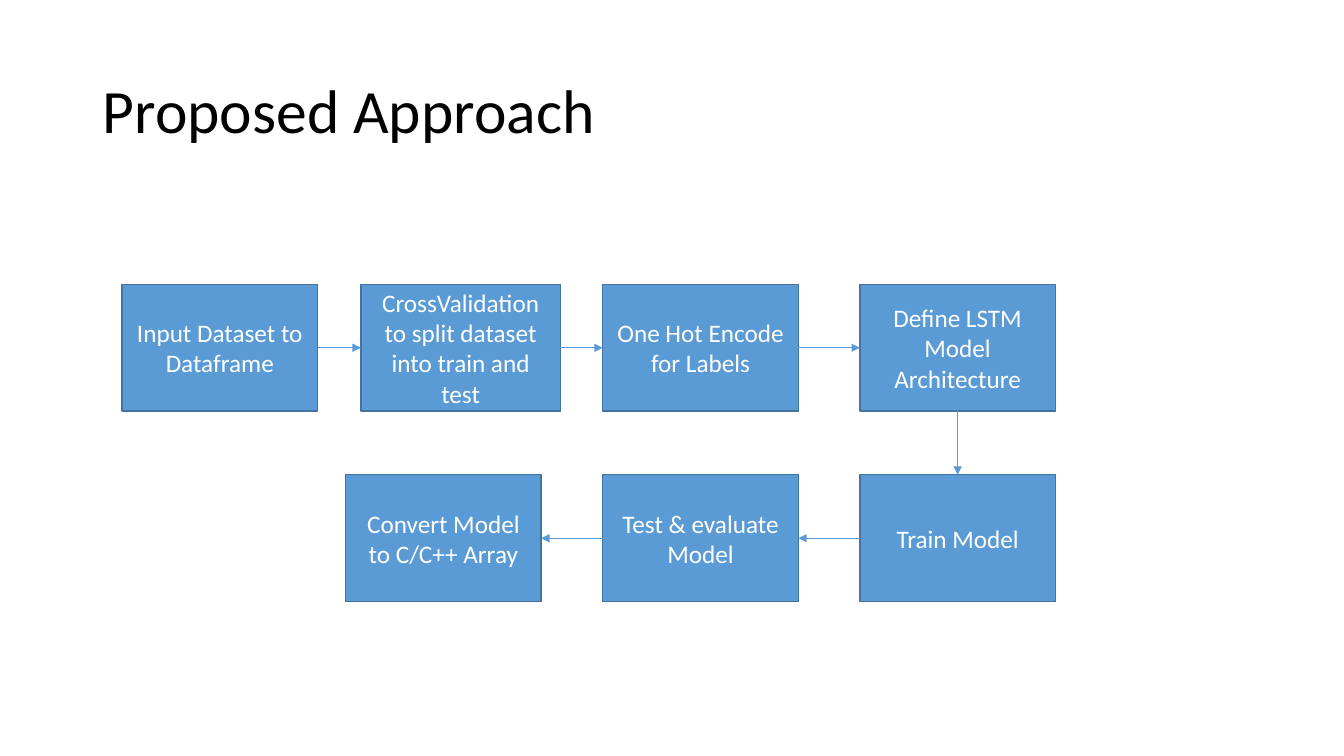
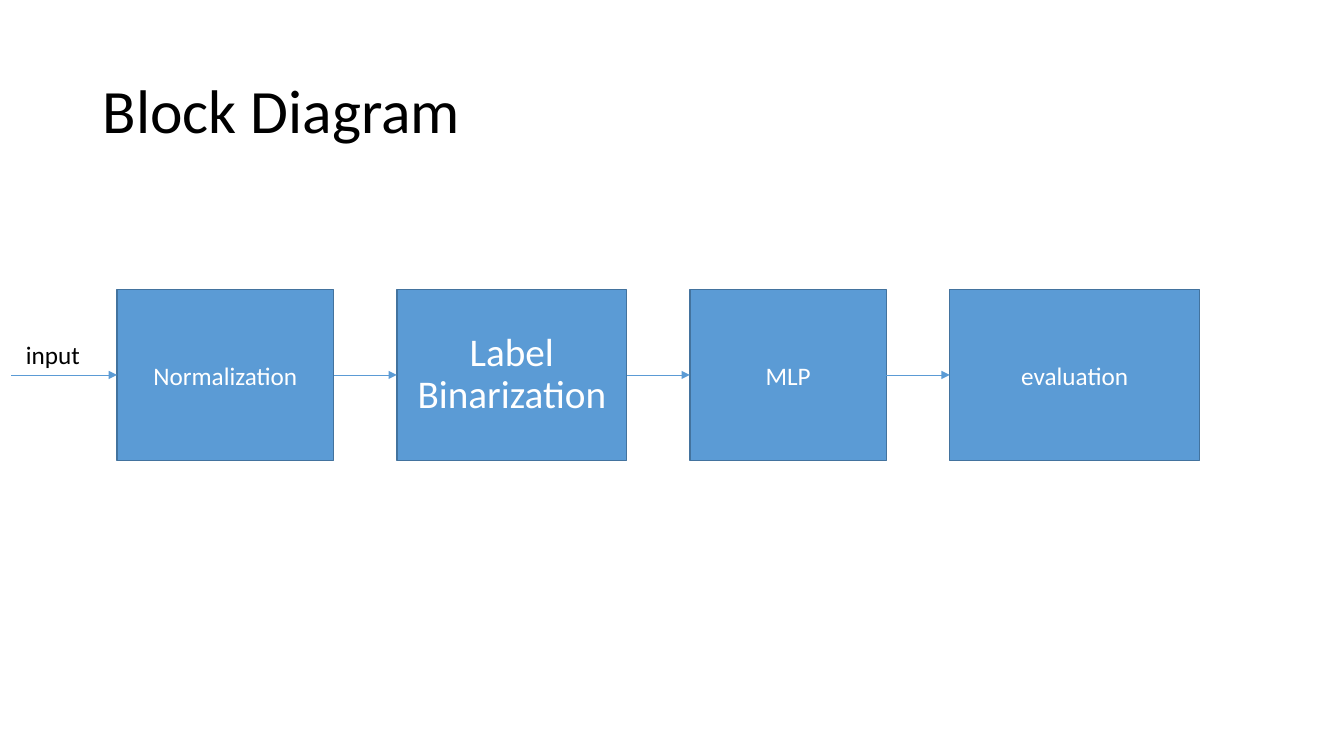
from dataclasses import dataclass
from itertools import pairwise

from pptx import Presentation
from pptx import util as u
from pptx.dml.color import RGBColor
from pptx.enum import shapes, text
from pptx.oxml.ns import qn
from lxml import etree


@dataclass(frozen=True)
class Theme:
    font: str = "Calibri"
    ink: str = "000000"
    paper: str = "FFFFFF"
    fill: str = "5B9BD5"
    edge: str = "43739E"
    title: int = 44
    large: int = 28
    body: int = 18
    border: float = 1
    arrow: float = 0.5


TOP, LEFT, BOTTOM, RIGHT = range(4)
TITLE_ONLY, TITLE_BODY = 5, 1
TITLE_AT = (6.9, 5.33, 86.25, 19.33)


def apply(obj, values):
    for name, value in values.items():
        setattr(obj, name, value)


class Deck:
    def __init__(self, theme):
        self.t = theme
        self.prs = Presentation()
        apply(self.prs, dict(slide_width=u.Inches(13.333), slide_height=u.Inches(7.5)))

    def x(self, share):
        return u.Emu(round(self.prs.slide_width * share / 100))

    def y(self, share):
        return u.Emu(round(self.prs.slide_height * share / 100))

    def area(self, at):
        left, top, width, height = at
        return dict(left=self.x(left), top=self.y(top),
                    width=self.x(width), height=self.y(height))

    def put_text(self, sp, words, size, color, frame, para):
        tf = sp.text_frame
        apply(tf, frame)
        p = tf.paragraphs[0]
        apply(p, para)
        r = p.add_run()
        r.text = words
        apply(r.font, dict(name=self.t.font, size=u.Pt(size)))
        r.font.color.rgb = RGBColor.from_string(color)
        return p

    def slide(self, title, layout=TITLE_ONLY):
        self.s = self.prs.slides.add_slide(self.prs.slide_layouts[layout])
        sp = self.s.shapes.title
        apply(sp, self.area(TITLE_AT))
        self.put_text(sp, title, self.t.title, self.t.ink,
                      dict(vertical_anchor=text.MSO_ANCHOR.MIDDLE,
                           auto_size=text.MSO_AUTO_SIZE.NONE),
                      dict(alignment=text.PP_ALIGN.LEFT, line_spacing=0.9))

    def paint(self, sp, words, size, **para):
        sp.fill.solid()
        sp.fill.fore_color.rgb = RGBColor.from_string(self.t.fill)
        sp.line.color.rgb = RGBColor.from_string(self.t.edge)
        sp.line.width = u.Pt(self.t.border)
        frame = dict(vertical_anchor=text.MSO_ANCHOR.MIDDLE, word_wrap=True,
                     auto_size=text.MSO_AUTO_SIZE.NONE)
        return self.put_text(sp, words, size, self.t.paper, frame,
                             dict(alignment=text.PP_ALIGN.CENTER, **para))

    def box(self, words, at):
        sp = self.s.shapes.add_shape(shapes.MSO_SHAPE.RECTANGLE, **self.area(at))
        sp.shadow.inherit = False
        self.paint(sp, words, self.t.body)
        return sp

    def body_box(self, words, at):
        sp = self.s.placeholders[1]
        apply(sp, self.area(at))
        p = self.paint(sp, words, self.t.large, line_spacing=0.9, space_before=u.Pt(10))
        pPr = p._p.get_or_add_pPr()
        for name in ("marL", "indent"):
            pPr.set(name, "0")
        etree.SubElement(pPr, qn("a:buNone"))
        return sp

    def label(self, words, at):
        sp = self.s.shapes.add_textbox(**self.area(at))
        self.put_text(sp, words, self.t.body, self.t.ink,
                      dict(word_wrap=False, auto_size=text.MSO_AUTO_SIZE.SHAPE_TO_FIT_TEXT), {})

    def arrow(self, end, end_site, start=None, start_site=RIGHT, at=(0, 0)):
        x, y = self.x(at[0]), self.y(at[1])
        c = self.s.shapes.add_connector(shapes.MSO_CONNECTOR.STRAIGHT, x, y, x, y)
        if start is not None:
            c.begin_connect(start, start_site)
        c.end_connect(end, end_site)
        c.line.color.rgb = RGBColor.from_string(self.t.fill)
        c.line.width = u.Pt(self.t.arrow)
        spPr = c.element.spPr
        etree.SubElement(spPr.find(qn("a:ln")), qn("a:tailEnd"), type="triangle")
        etree.SubElement(spPr, qn("a:effectLst"))

    def chain(self, boxes, start_site=RIGHT, end_site=LEFT):
        for a, b in pairwise(boxes):
            self.arrow(b, end_site, a, start_site)


def proposed_approach(d):
    d.slide("Proposed Approach")
    width, height, top, pitch = 14.55, 16.8, 37.6, 19.13
    last = 63.98
    steps = [("Input Dataset to Dataframe", 9.08, width),
             ("CrossValidation to split dataset into train and test", 26.85, 14.85),
             ("One Hot Encode for Labels", last - pitch, width),
             ("Define LSTM Model Architecture", last, width)]
    prepare = [d.box(words, (left, top, w, height)) for words, left, w in steps]
    results = ["Train Model", "Test & evaluate Model", "Convert Model to C/C++ Array"]
    model = [d.box(words, (last - i * pitch, top + 1.5 * height, width, height))
             for i, words in enumerate(results)]
    d.chain(prepare)
    d.chain([prepare[-1], model[0]], BOTTOM, TOP)
    d.chain(model, LEFT, RIGHT)


def block_diagram(d):
    d.slide("Block Diagram", TITLE_BODY)
    left, top, height, gap = 8.7, 38.3, 22.6, 4.7
    blocks = []
    for words, width, make in [("Normalization", 16.13, d.box),
                               ("Label Binarization", 17.1, d.body_box),
                               ("MLP", 14.63, d.box),
                               ("evaluation", 18.6, d.box)]:
        blocks.append(make(words, (left, top, width, height)))
        left += width + gap
    d.arrow(blocks[0], LEFT, at=(0.83, top + height / 2))
    d.chain(blocks)
    d.label("input", (1.2, 44.27, 5.55, 5.33))


deck = Deck(Theme())
proposed_approach(deck)
block_diagram(deck)
deck.prs.save("out.pptx")
